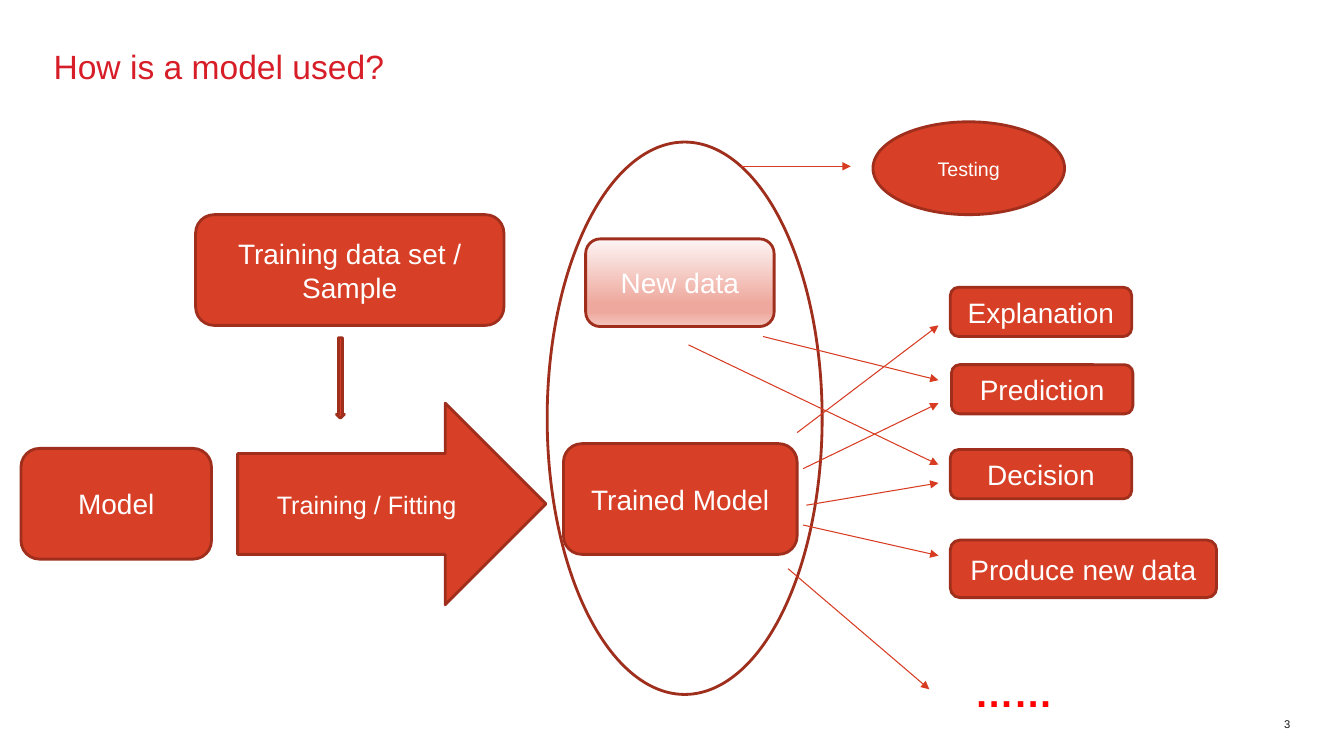
from copy import deepcopy

from lxml.etree import SubElement
from pptx import Presentation
from pptx.dml.color import RGBColor
from pptx.enum.shapes import MSO_CONNECTOR, MSO_SHAPE
from pptx.enum.text import MSO_ANCHOR, PP_ALIGN
from pptx.oxml.ns import qn
from pptx.util import Cm, Pt


def color(hex_string):
    return RGBColor.from_string(hex_string)


def write(shape, text, size=20, hex_color="FFFFFF", bold=False, align=PP_ALIGN.CENTER,
          anchor=MSO_ANCHOR.MIDDLE, wrap=True, margin=None, line_spacing=None):
    frame = shape.text_frame
    frame.word_wrap = wrap
    frame.vertical_anchor = anchor
    if margin is not None:
        frame.margin_left = frame.margin_right = Cm(margin)
        frame.margin_top = frame.margin_bottom = Cm(margin)
    paragraph = frame.paragraphs[0]
    paragraph.alignment = align
    paragraph.line_spacing = line_spacing
    run = paragraph.add_run()
    run.text = text
    run.font.name = "Arial"
    run.font.size = Pt(size)
    run.font.bold = bold
    run.font.color.rgb = color(hex_color)


RED, DARK_RED, ARROW_RED = "D73F26", "9F2F1C", "D73B21"
BOX = MSO_SHAPE.FLOWCHART_ALTERNATE_PROCESS

presentation = Presentation()
presentation.slide_width = Cm(33.87)
presentation.slide_height = Cm(19.05)
slide = presentation.slides.add_slide(presentation.slide_layouts[6])

title = slide.shapes.add_textbox(Cm(1.35), Cm(1.27), Cm(31.17), Cm(2.79))
write(title, "How is a model used?", size=24, hex_color="D71E28", align=PP_ALIGN.LEFT,
      anchor=MSO_ANCHOR.TOP, margin=0, line_spacing=0.9)

page_number = slide.shapes.add_textbox(Cm(31.17), Cm(17.78), Cm(1.35), Cm(0.64))
write(page_number, "3", size=8, hex_color="141414", align=PP_ALIGN.RIGHT,
      anchor=MSO_ANCHOR.BOTTOM, margin=0)

more_outputs = slide.shapes.add_textbox(Cm(24.31), Cm(16.71), Cm(2.51), Cm(1.45))
write(more_outputs, "……", size=28, hex_color="FF0000", bold=True, align=PP_ALIGN.LEFT,
      anchor=MSO_ANCHOR.TOP, wrap=False)

new_data_stops = [(0, "FDF5F4"), (0.74, "EEA89D"), (0.83, "EEA89D"), (1, "F3C5BD")]
steps = [
    (BOX, "Model", 20, RED, 0.53, 11.3, 4.8, 2.79),
    (MSO_SHAPE.RIGHT_ARROW, "Training / Fitting", 18, RED, 5.99, 10.16, 7.77, 5.08),
    (BOX, "Training data set / Sample", 20, RED, 4.93, 5.41, 7.77, 2.79),
    (MSO_SHAPE.DOWN_ARROW, "", 20, RED, 8.48, 8.51, 0.2, 2.03),
    (BOX, "Trained Model", 20, RED, 14.2, 11.18, 5.89, 2.79),
    (BOX, "Explanation", 20, RED, 23.95, 7.24, 4.57, 1.24),
    (BOX, "Prediction", 20, RED, 23.98, 9.19, 4.57, 1.24),
    (BOX, "Decision", 20, RED, 23.95, 11.33, 4.57, 1.24),
    (BOX, "Produce new data", 20, RED, 23.95, 13.61, 6.71, 1.45),
    (BOX, "New data", 20, new_data_stops, 14.76, 6.02, 4.75, 2.21),
    (MSO_SHAPE.OVAL, "", 20, None, 13.79, 3.58, 6.93, 13.92),
    (MSO_SHAPE.OVAL, "Testing", 14, RED, 22, 3.07, 4.83, 2.34),
]
for kind, text, size, fill, left, top, width, height in steps:
    shape = slide.shapes.add_shape(kind, Cm(left), Cm(top), Cm(width), Cm(height))
    shape.shadow.inherit = False
    shape.line.color.rgb = color(DARK_RED)
    shape.line.width = Pt(2)
    if fill is None:
        shape.fill.background()
    elif fill is new_data_stops:
        shape.fill.gradient()
        shape.fill.gradient_angle = 270
        stop_list = next(shape._element.spPr.iter(qn("a:gsLst")))
        for stop in list(stop_list):
            stop_list.append(deepcopy(stop))
        for stop, (position, hex_color) in zip(shape.fill.gradient_stops, fill):
            stop.position = position
            stop.color.rgb = color(hex_color)
    else:
        shape.fill.solid()
        shape.fill.fore_color.rgb = color(fill)
    if text:
        write(shape, text, size=size)

arrows = [
    (20.09, 10.9, 23.65, 8.2),
    (20.24, 11.81, 23.65, 10.16),
    (20.32, 12.73, 23.65, 12.17),
    (20.24, 13.23, 23.65, 14),
    (19.86, 14.33, 23.42, 17.37),
    (19.23, 8.48, 23.65, 9.58),
    (17.35, 8.69, 23.65, 11.71),
    (18.67, 4.19, 21.44, 4.19),
]
for points in arrows:
    connector = slide.shapes.add_connector(MSO_CONNECTOR.STRAIGHT, *map(Cm, points))
    connector.line.color.rgb = color(ARROW_RED)
    connector.line.width = Pt(0.75)
    SubElement(connector.line._get_or_add_ln(), qn("a:tailEnd"), type="triangle")
    SubElement(connector._element.spPr, qn("a:effectLst"))

presentation.save("out.pptx")
